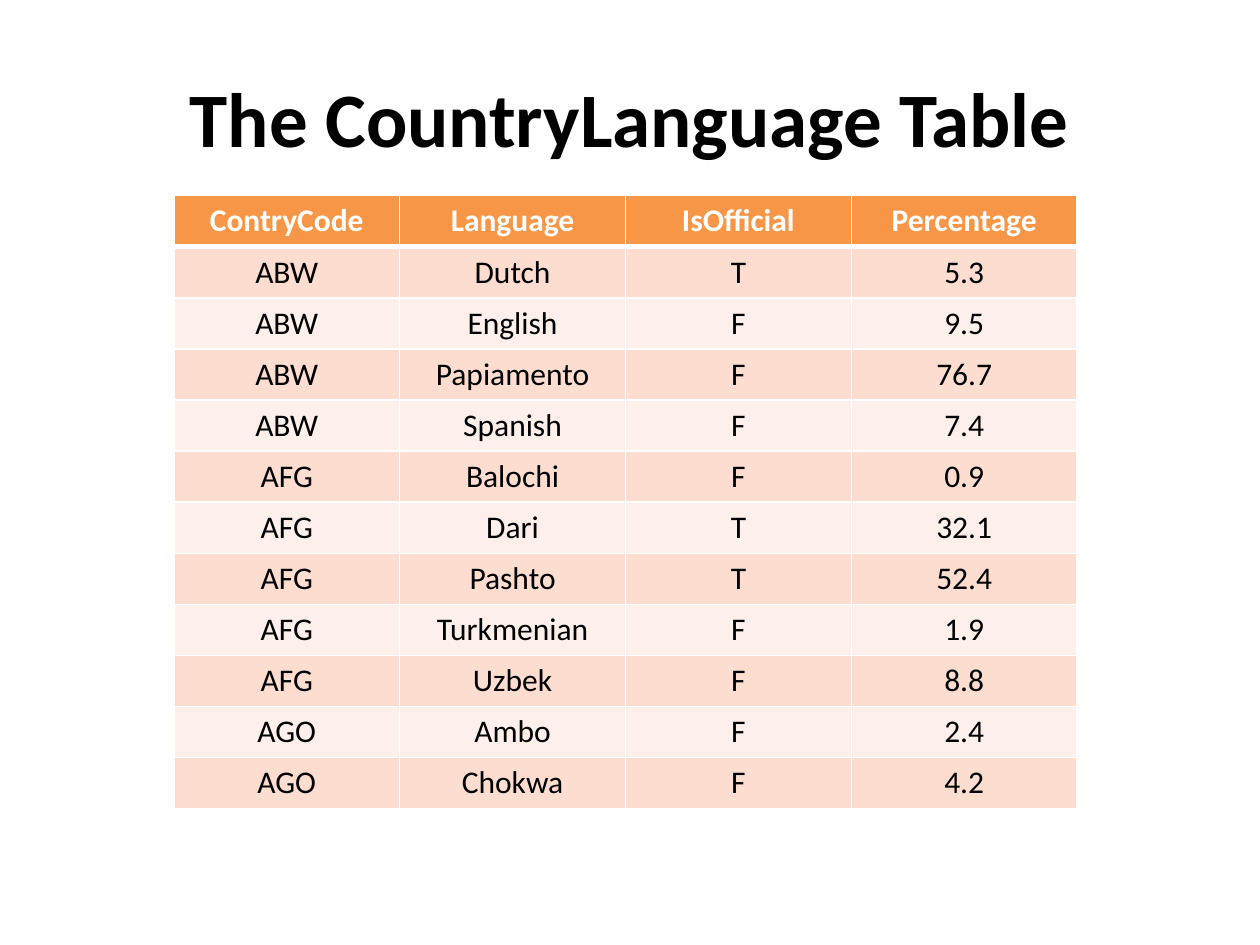
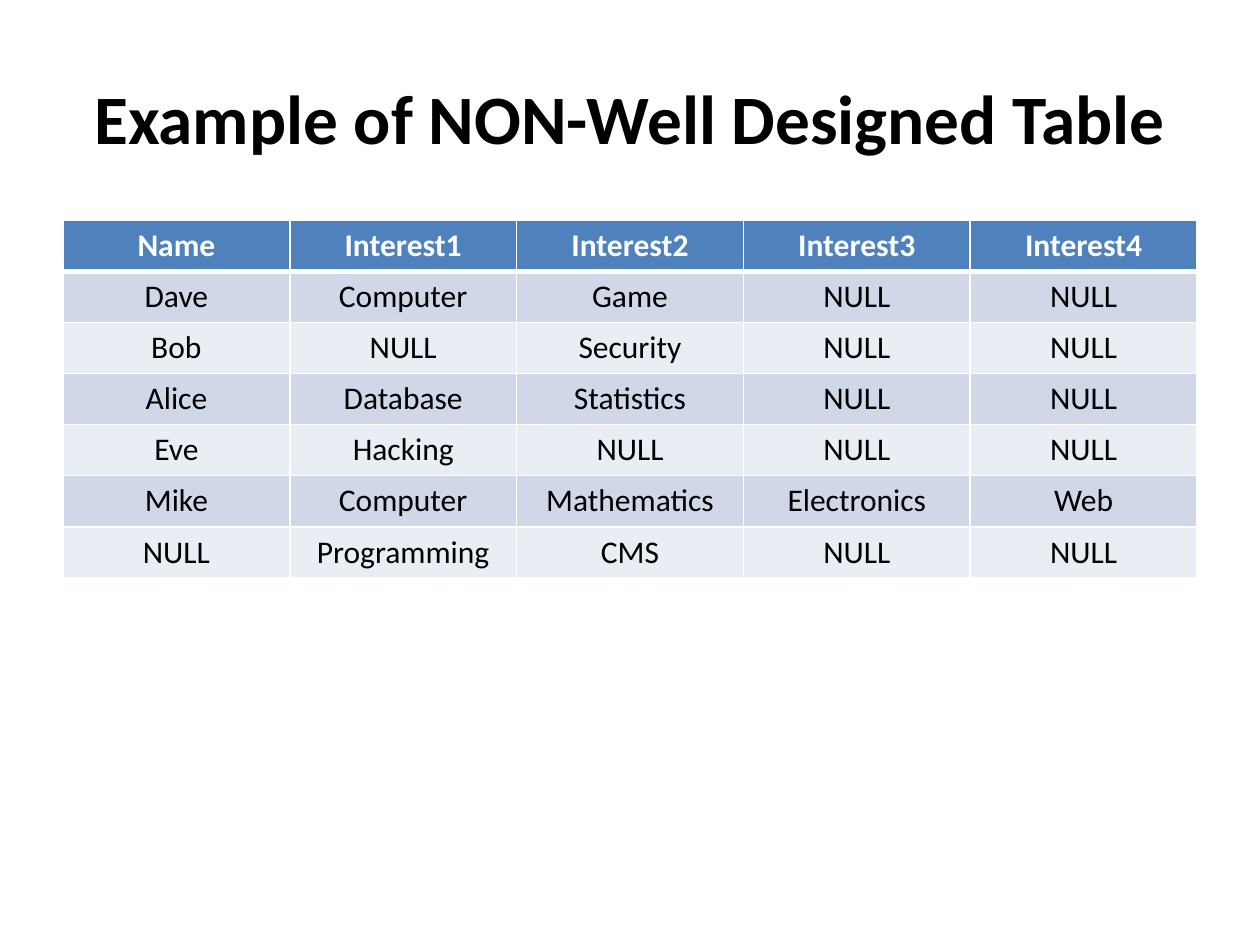
from lxml.etree import SubElement
from pptx import Presentation
from pptx.dml.color import RGBColor
from pptx.enum.text import MSO_ANCHOR as Anchor, PP_ALIGN as Align
from pptx.oxml.ns import qn
from pptx.util import Inches, Pt

WIDTH, HEIGHT = Inches(10), Inches(7.5)
FONT = "Calibri"
BLACK, WHITE = "000000", "FFFFFF"
# Each theme: header fill, odd row fill, even row fill
ORANGE = ("F79646", "FCDDCF", "FDEFE9")
BLUE = ("4F81BD", "D0D8E8", "E9EDF4")
# Boxes as shares of the slide: left, top, width, height
TITLE_BOX = (0.05, 0.04, 0.9, 1 / 6)
ROW_SHARE = 0.0541

LANGUAGES = [
    ("ContryCode", "Language", "IsOfficial", "Percentage"),
    ("ABW", "Dutch", "T", "5.3"),
    ("ABW", "English", "F", "9.5"),
    ("ABW", "Papiamento", "F", "76.7"),
    ("ABW", "Spanish", "F", "7.4"),
    ("AFG", "Balochi", "F", "0.9"),
    ("AFG", "Dari", "T", "32.1"),
    ("AFG", "Pashto", "T", "52.4"),
    ("AFG", "Turkmenian", "F", "1.9"),
    ("AFG", "Uzbek", "F", "8.8"),
    ("AGO", "Ambo", "F", "2.4"),
    ("AGO", "Chokwa", "F", "4.2"),
]
INTERESTS = [
    ("Name", "Interest1", "Interest2", "Interest3", "Interest4"),
    ("Dave", "Computer", "Game", "NULL", "NULL"),
    ("Bob", "NULL", "Security", "NULL", "NULL"),
    ("Alice", "Database", "Statistics", "NULL", "NULL"),
    ("Eve", "Hacking", "NULL", "NULL", "NULL"),
    ("Mike", "Computer", "Mathematics", "Electronics", "Web"),
    ("NULL", "Programming", "CMS", "NULL", "NULL"),
]


def color(hex_string):
    return RGBColor.from_string(hex_string)


def place(box):
    """Turn shares of the slide into lengths."""
    left, top, width, height = box
    return (round(left * WIDTH), round(top * HEIGHT),
            round(width * WIDTH), round(height * HEIGHT))


def write(text_frame, text, size, hex_string, bold):
    paragraph = text_frame.paragraphs[0]
    paragraph.text = text
    paragraph.alignment = Align.CENTER
    font = paragraph.font
    font.name, font.size, font.bold = FONT, Pt(size), bold
    font.color.rgb = color(hex_string)


def add_title(slide, text, size, box=TITLE_BOX):
    text_frame = slide.shapes.add_textbox(*place(box)).text_frame
    text_frame.word_wrap = True
    text_frame.vertical_anchor = Anchor.MIDDLE
    write(text_frame, text, size, BLACK, True)


def set_borders(cell, top, bottom):
    """Draw white borders; they must come before the fill in the cell."""
    properties = cell._tc.get_or_add_tcPr()
    widths = {"a:lnL": 1, "a:lnR": 1, "a:lnT": top, "a:lnB": bottom}
    for tag, width in widths.items():
        line = SubElement(properties, qn(tag), w=str(Pt(width)))
        fill = SubElement(line, qn("a:solidFill"))
        SubElement(fill, qn("a:srgbClr"), val=WHITE)


def add_banded_table(slide, rows, theme, left, top, width):
    header_fill, *bands = theme
    box = place((left, top, width, ROW_SHARE * len(rows)))
    table = slide.shapes.add_table(len(rows), len(rows[0]), *box).table
    table.first_row = table.horz_banding = False

    for row_index, values in enumerate(rows):
        is_header = row_index == 0
        fill = header_fill if is_header else bands[(row_index - 1) % 2]
        for column_index, value in enumerate(values):
            cell = table.cell(row_index, column_index)
            # A thick rule parts the header from the body
            set_borders(cell, top=3 if row_index == 1 else 1,
                        bottom=3 if is_header else 1)
            cell.fill.solid()
            cell.fill.fore_color.rgb = color(fill)
            write(cell.text_frame, value, 18,
                  WHITE if is_header else BLACK, is_header)


def add_table_slide(presentation, title, title_size, rows, theme,
                    left, top, width):
    slide = presentation.slides.add_slide(presentation.slide_layouts[6])
    add_title(slide, title, title_size)
    add_banded_table(slide, rows, theme, left, top, width)


def main():
    presentation = Presentation()
    presentation.slide_width, presentation.slide_height = WIDTH, HEIGHT
    add_table_slide(presentation, "The CountryLanguage Table", 44,
                    LANGUAGES, ORANGE, left=0.138, top=0.207, width=0.717)
    add_table_slide(presentation, "Example of NON-Well Designed Table", 39.6,
                    INTERESTS, BLUE, left=0.05, top=0.233, width=0.9)
    presentation.save("out.pptx")


if __name__ == "__main__":
    main()
